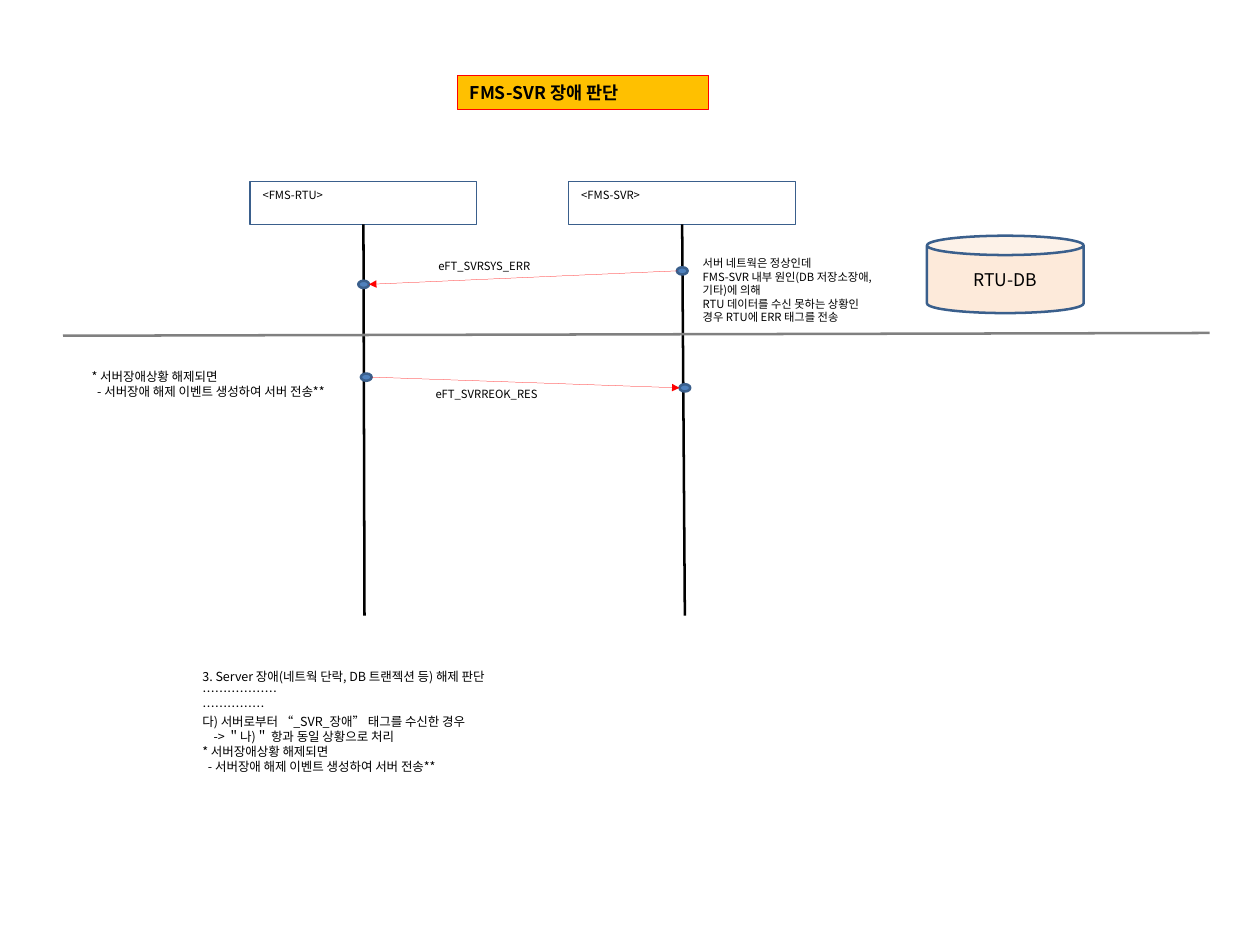
from lxml.etree import SubElement
from pptx import Presentation
from pptx.dml.color import RGBColor
from pptx.enum.dml import MSO_LINE
from pptx.enum.shapes import MSO_CONNECTOR, MSO_SHAPE
from pptx.enum.text import MSO_ANCHOR, PP_ALIGN
from pptx.oxml.ns import qn
from pptx.util import Pt

FONT = "Noto Sans CJK KR"
HUE = {
    "gold": "FFC000", "red": "FF0000", "navy": "3A5F8C", "blue": "4F81BD",
    "peach": "FDEADA", "gray": "808080", "black": "000000",
}
WIDE = {"margin_left": Pt(10), "margin_right": Pt(10),
        "margin_top": Pt(5), "margin_bottom": Pt(5)}
SLIM = {"margin_left": Pt(7.2), "margin_right": Pt(7.2),
        "margin_top": Pt(3.6), "margin_bottom": Pt(3.6)}
MID = {**SLIM, "vertical_anchor": MSO_ANCHOR.MIDDLE}

CLEAR = [(0, "* 서버장애상황 해제되면"),
         (4.5, "- 서버장애 해제 이벤트 생성하여 서버 전송**")]
RULES = [(0, "3. Server 장애(네트웍 단락, DB 트랜젝션 등) 해제 판단"),
         (0, "………………"),
         (0, "……………"),
         (0, "다) 서버로부터 “_SVR_장애” 태그를 수신한 경우"),
         (9, "-> ＂나)＂ 항과 동일 상황으로 처리")] + CLEAR
CAUSE = [(0, "서버 네트웍은 정상인데"),
         (0, "FMS-SVR 내부 원인(DB 저장소장애, 기타)에 의해"),
         (0, "RTU 데이터를 수신 못하는 상황인"),
         (0, "경우 RTU에 ERR 태그를 전송")]

NODES = [("<FMS-RTU>", 200, 291.6), ("<FMS-SVR>", 455, 547.9)]
NODE = (145.5, 181.5, 34)
FOOT = 492.5
DOT = (8.6, 5.8)
CALLS = [((541.5, 213.8), (286.6, 224.6)),
         ((288.7, 298.8), (543.6, 307.4))]
NOTES = [
    ((340.6, 202.3, 159, 21.6), [(0, "eFT_SVRSYS_ERR")], 9, WIDE),
    ((338.4, 304.6, 159, 21.6), [(0, "eFT_SVRREOK_RES")], 9, WIDE),
    ((552.2, 200.2, 159, 55.4), CAUSE, 9, WIDE),
    ((154.8, 531.4, 289.4, 92.2), RULES, 10, SLIM),
    ((66.2, 291.6, 249, 31.7), CLEAR, 10, SLIM),
]


def tint(name):
    return RGBColor.from_string(HUE[name])


def write(shape, lines, size, form, bold=False, align=PP_ALIGN.LEFT):
    frame = shape.text_frame
    for key, val in {"word_wrap": True, "vertical_anchor": MSO_ANCHOR.TOP, **form}.items():
        setattr(frame, key, val)
    for i, (dent, text) in enumerate(lines):
        para = frame.add_paragraph() if i else frame.paragraphs[0]
        para.alignment = align
        para.line_spacing = Pt(size * 1.2)
        if dent:
            para._p.get_or_add_pPr().set("marL", str(Pt(dent)))
        run = para.add_run()
        run.text = text
        for key, val in {"name": FONT, "size": Pt(size), "bold": bold}.items():
            setattr(run.font, key, val)
        run.font.color.rgb = tint("black")
        SubElement(run._r.get_or_add_rPr(), qn("a:ea"), typeface=FONT)


def block(kind, area, fill, edge, width):
    shape = slide.shapes.add_shape(kind, *map(Pt, area))
    shape.shadow.inherit = False
    if fill:
        shape.fill.solid()
        shape.fill.fore_color.rgb = tint(fill)
    else:
        shape.fill.background()
    shape.line.color.rgb = tint(edge)
    shape.line.width = Pt(width)
    return shape


def link(start, end, color, width, arrow=False):
    wire = slide.shapes.add_connector(MSO_CONNECTOR.STRAIGHT, *map(Pt, start + end))
    wire.line.color.rgb = tint(color)
    wire.line.width = Pt(width)
    if arrow:
        wire.line.dash_style = MSO_LINE.SQUARE_DOT
        SubElement(wire.line._get_or_add_ln(), qn("a:tailEnd"), type="triangle")
    SubElement(wire._element.spPr, qn("a:effectLst"))
    return wire


deck = Presentation()
deck.slide_width, deck.slide_height = Pt(1008), Pt(756)
slide = deck.slides.add_slide(deck.slide_layouts[6])

title = block(MSO_SHAPE.RECTANGLE, (365.8, 60.5, 200.9, 27.4), "gold", "red", 0.75)
write(title, [(0, "FMS-SVR 장애 판단")], 14, WIDE, bold=True)

top, wide, high = NODE
for name, left, foot in NODES:
    box = block(MSO_SHAPE.RECTANGLE, (left, top, wide, high), None, "navy", 1)
    write(box, [(0, name)], 9, WIDE)
    life = link((left + wide / 2, top + high), (foot, FOOT), "black", 2)
    life.begin_connect(box, 2)

link((50.4, 268.6), (967.7, 266.4), "gray", 2)

for pair in CALLS:
    for spot in pair:
        block(MSO_SHAPE.OVAL, spot + DOT, "blue", "navy", 2)
    (ax, ay), (bx, by) = pair
    east = ax < bx
    link((ax + DOT[0] * east, ay + DOT[1] / 2),
         (bx + DOT[0] * (not east), by + DOT[1] / 2), "red", 0.2, arrow=True)

store = block(MSO_SHAPE.CAN, (741.6, 188.6, 125.3, 61.9), "peach", "navy", 2)
write(store, [(0, "RTU-DB")], 14, MID, align=PP_ALIGN.CENTER)

for area, lines, size, form in NOTES:
    write(slide.shapes.add_textbox(*map(Pt, area)), lines, size, form)

deck.save("out.pptx")
